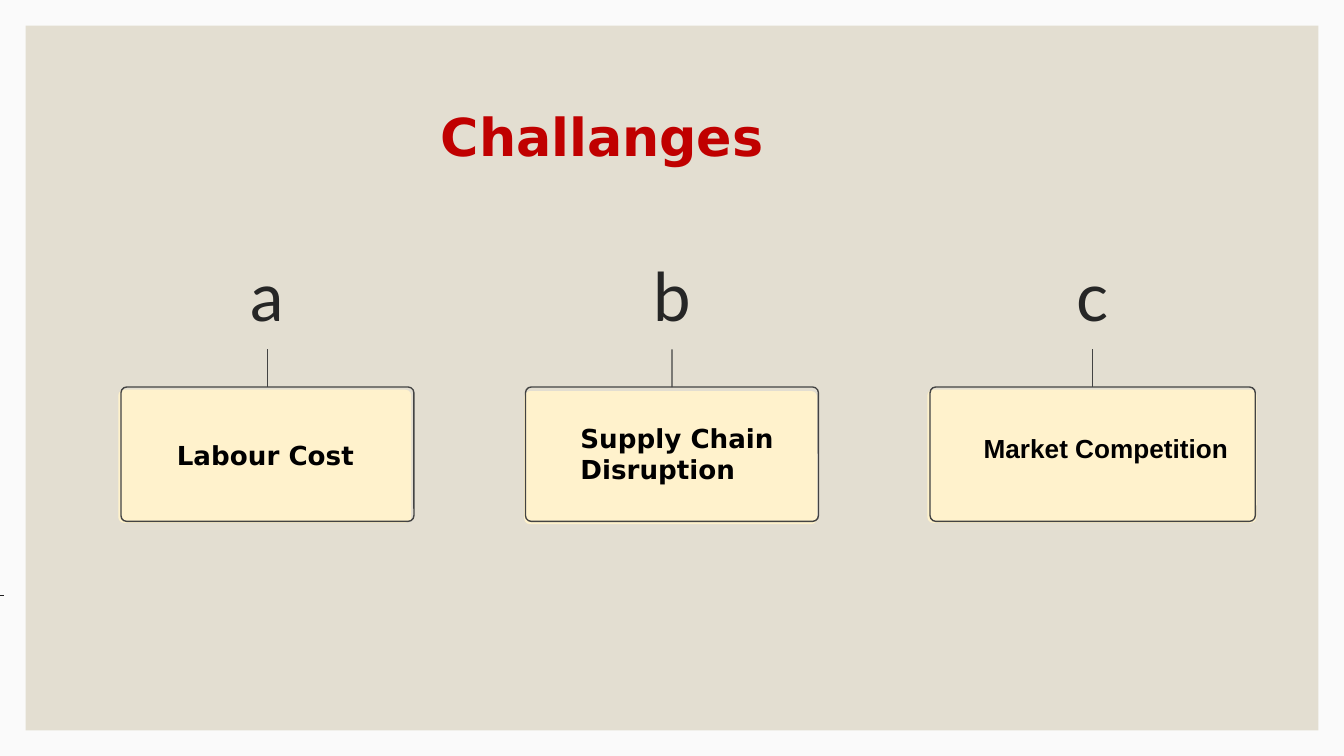
"""Build the challenges slide: three lettered cards under a title."""
from lxml import etree
from pptx import Presentation
from pptx.dml.color import RGBColor
from pptx.enum.shapes import MSO_CONNECTOR, MSO_SHAPE
from pptx.enum.text import MSO_ANCHOR, PP_ALIGN
from pptx.oxml.ns import qn
from pptx.util import Inches, Pt

RECTANGLE, ROUNDED = MSO_SHAPE.RECTANGLE, MSO_SHAPE.ROUNDED_RECTANGLE
STRAIGHT = MSO_CONNECTOR.STRAIGHT
LEFT, CENTER, RIGHT = PP_ALIGN.LEFT, PP_ALIGN.CENTER, PP_ALIGN.RIGHT
TOP, MIDDLE, BOTTOM = MSO_ANCHOR.TOP, MSO_ANCHOR.MIDDLE, MSO_ANCHOR.BOTTOM

COLORS = {"page": "FAFAFA", "panel": "E3DED1", "card": "FFF2CC", "line": "434343",
          "tick": "1F1F1F", "letter": "262626", "title": "C00000", "label": "000000"}
TITLE = "Challanges"
CARDS = [
    {"letter": "a", "label": "Labour Cost", "width": 2.18, "fill": (0.88, 2.9, 2.18),
     "text": (1.04, 3.22, 1.87, 0.34), "font": "DejaVu Sans", "align": CENTER},
    {"letter": "b", "label": "Supply Chain Disruption", "width": 2.18, "fill": (3.9, 2.91, 2.18),
     "text": (4.22, 3.09, 1.68, 0.81), "font": "DejaVu Sans", "align": LEFT},
    {"letter": "c", "label": "Market Competition", "width": 2.42, "fill": (6.9, 2.9, 2.45),
     "text": (7.22, 3.17, 2.11, 0.57), "font": "Arial", "align": LEFT},
]
WIDTH = 10
HEIGHT = WIDTH * 9 / 16
MARGIN = 0.19
CARD_LEFT, CARD_TOP, CARD_HEIGHT, PITCH = 0.9, 2.88, 1, 3.01
LETTER_TOP, LETTER_WIDTH, LETTER_HEIGHT = 1.73, 1.56, 0.87
STEM_TOP = LETTER_TOP + LETTER_HEIGHT


def rgb(name):
    return RGBColor.from_string(COLORS[name])


def write(box, text, *, font, size, color, bold=False, align=LEFT, anchor=TOP,
          spacing=1.0, inset=0.05):
    frame = box.text_frame
    frame.word_wrap = True
    frame.vertical_anchor = anchor
    frame.margin_left = frame.margin_right = Inches(0.1)
    frame.margin_top = frame.margin_bottom = Inches(inset)
    paragraph = frame.paragraphs[0]
    paragraph.alignment = align
    paragraph.line_spacing = spacing
    span = paragraph.add_run()
    span.text = text
    span.font.name = font
    span.font.size = Pt(size)
    span.font.bold = bold
    span.font.color.rgb = rgb(color)


def add_text(page, place, text, **style):
    write(page.shapes.add_textbox(*map(Inches, place)), text, **style)


def add_block(page, kind, place, fill=None, line=None):
    block = page.shapes.add_shape(kind, *map(Inches, place))
    block.shadow.inherit = False
    if kind == ROUNDED:
        block.adjustments[0] = 0.043
    if fill:
        block.fill.solid()
        block.fill.fore_color.rgb = rgb(fill)
    else:
        block.fill.background()
    if line:
        block.line.color.rgb = rgb(line)
        block.line.width = Pt(0.75)
    else:
        block.line.fill.background()
    return block


def add_line(page, ends, color, width):
    line = page.shapes.add_connector(STRAIGHT, *map(Inches, ends))
    line.line.color.rgb = rgb(color)
    line.line.width = Pt(width)
    etree.SubElement(line._element.spPr, qn("a:effectLst"))
    return line


def add_card(page, column, card):
    left = CARD_LEFT + column * PITCH
    middle = left + card["width"] / 2
    fill_left, fill_top, fill_width = card["fill"]
    add_block(page, ROUNDED, (fill_left, fill_top, fill_width, 0.99), fill="card")
    outline = add_block(page, ROUNDED, (left, CARD_TOP, card["width"], CARD_HEIGHT), line="line")
    stem = add_line(page, (middle, STEM_TOP, middle, CARD_TOP), "line", 0.75)
    stem.end_connect(outline, 0)
    add_text(page, (middle - LETTER_WIDTH / 2, LETTER_TOP, LETTER_WIDTH, LETTER_HEIGHT),
             card["letter"], font="Lato", size=36, color="letter", align=CENTER,
             anchor=BOTTOM, spacing=0.9, inset=0.1)
    add_text(page, card["text"], card["label"], font=card["font"], size=14,
             color="label", bold=True, align=card["align"])


def main():
    deck = Presentation()
    deck.slide_width, deck.slide_height = Inches(WIDTH), Inches(HEIGHT)
    page = deck.slides.add_slide(deck.slide_layouts[5])
    page.background.fill.solid()
    page.background.fill.fore_color.rgb = rgb("page")
    panel = add_block(page, RECTANGLE, (MARGIN, MARGIN, WIDTH - 2 * MARGIN, HEIGHT - 2 * MARGIN),
                      fill="panel")
    title = page.shapes.title
    panel._element.addnext(title._element)
    title.left, title.top, title.width, title.height = map(Inches, (2.29, 0.77, 3.49, 0.53))
    write(title, TITLE, font="DejaVu Sans", size=28, color="title", bold=True,
          align=RIGHT, anchor=MIDDLE, spacing=0.9, inset=0.1)
    add_line(page, (0, 4.43, 0.03, 4.43), "tick", 0.3)
    for column, card in enumerate(CARDS):
        add_card(page, column, card)
    deck.save("out.pptx")


if __name__ == "__main__":
    main()
